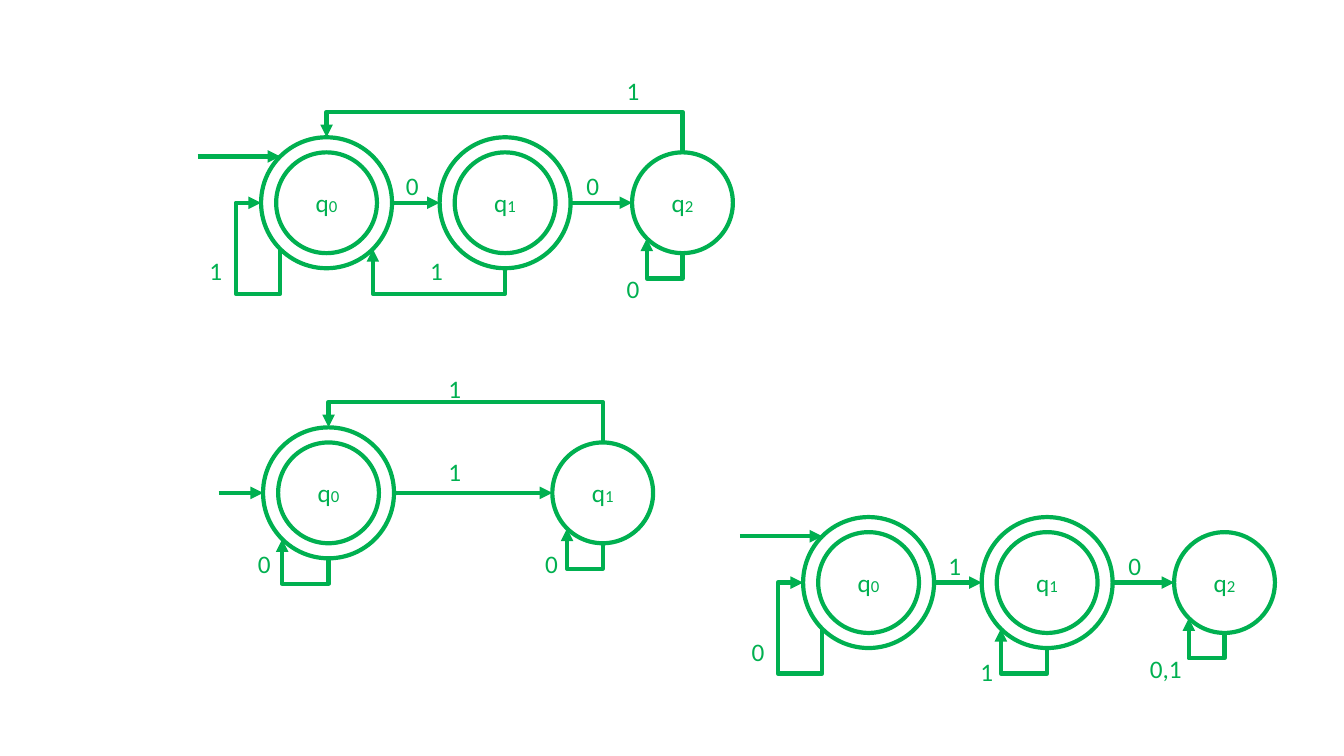
"""Build a slide with three finite-state automata."""
import math
import lxml.etree
import pptx
import pptx.dml.color
import pptx.enum.shapes
import pptx.enum.text
import pptx.oxml.ns
import pptx.util
from dataclasses import dataclass

TOP, LEFT, LOWER_LEFT, BOTTOM, LOWER_RIGHT, RIGHT, UPPER_LEFT = 0, 2, 3, 4, 5, 6, 1

MACHINES = [
    {
        "row": 5.11,
        "states": [(8.23, True), (12.73, True), (17.2, False)],
        "start": (UPPER_LEFT, 2.08),
        "edges": [
            (2, BOTTOM, 2, LOWER_LEFT, "0", (15.54, 6.76)),
            (2, TOP, 0, TOP, "1", (15.54, 1.78)),
            (0, RIGHT, 1, LEFT, "0", (9.98, 4.17)),
            (1, BOTTOM, 0, LOWER_RIGHT, "1", (10.59, 6.32)),
            (0, LOWER_LEFT, 0, LEFT, "1", (5.03, 6.32)),
            (1, RIGHT, 2, LEFT, "0", (14.53, 4.17)),
        ],
    },
    {
        "row": 12.42,
        "states": [(8.28, True), (15.19, False)],
        "start": (LEFT, 1.12),
        "edges": [
            (0, RIGHT, 1, LEFT, "1", (11.05, 11.38)),
            (0, BOTTOM, 0, LOWER_LEFT, "0", (6.25, 13.69)),
            (1, TOP, 0, TOP, "1", (11.05, 9.27)),
            (1, BOTTOM, 1, LOWER_LEFT, "0", (13.49, 13.69)),
        ],
    },
    {
        "row": 14.68,
        "states": [(21.89, True), (26.39, True), (30.86, False)],
        "start": (UPPER_LEFT, 2.08),
        "edges": [
            (2, BOTTOM, 2, LOWER_LEFT, "0,1", (28.73, 16.33)),
            (0, RIGHT, 1, LEFT, "1", (23.65, 13.74)),
            (0, LOWER_LEFT, 0, LEFT, "0", (18.69, 15.9)),
            (1, RIGHT, 2, LEFT, "0", (28.19, 13.74)),
            (1, BOTTOM, 1, LOWER_LEFT, "1", (24.46, 16.41)),
        ],
    },
]

INNER, OUTER, CLEARANCE = 1.27, 1.65, 0.64


@dataclass(frozen=True)
class Theme:
    ink: pptx.dml.color.RGBColor = pptx.dml.color.RGBColor(0x00, 0xB0, 0x50)
    paper: pptx.dml.color.RGBColor = pptx.dml.color.RGBColor(0xFF, 0xFF, 0xFF)
    font: str = "Calibri"
    size: int = 18
    index_size: int = 12
    line: int = 3


THEME = Theme()
Cm = pptx.util.Cm
qn = pptx.oxml.ns.qn
CONNECTOR = pptx.enum.shapes.MSO_CONNECTOR


@dataclass
class State:
    x: float
    y: float
    radius: float
    shape_id: int

    def site(self, index):
        angle = math.radians(90 + 45 * index)
        return self.x + self.radius * math.cos(angle), self.y - self.radius * math.sin(angle)


def style_run(r, size):
    r.font.name = THEME.font
    r.font.size = pptx.util.Pt(size)
    r.font.color.rgb = THEME.ink


def style_line(line):
    line.color.rgb = THEME.ink
    line.width = pptx.util.Pt(THEME.line)


def add_circle(s, x, y, radius):
    sp = s.shapes.add_shape(pptx.enum.shapes.MSO_SHAPE.OVAL, Cm(x - radius), Cm(y - radius),
                            Cm(2 * radius), Cm(2 * radius))
    sp.shadow.inherit = False
    sp.fill.solid()
    sp.fill.fore_color.rgb = THEME.paper
    style_line(sp.line)
    return sp


def add_state(s, x, y, number, accepting):
    ring = add_circle(s, x, y, OUTER) if accepting else None
    sp = add_circle(s, x, y, INNER)
    tf = sp.text_frame
    tf.vertical_anchor = pptx.enum.text.MSO_ANCHOR.MIDDLE
    p = tf.paragraphs[0]
    p.alignment = pptx.enum.text.PP_ALIGN.CENTER
    for text, size in (("q", THEME.size), (str(number), THEME.index_size)):
        r = p.add_run()
        r.text = text
        style_run(r, size)
    return State(x, y, OUTER if accepting else INNER, (ring or sp).shape_id)


def add_arrow(s, kind, x1, y1, x2, y2):
    c = s.shapes.add_connector(kind, Cm(x1), Cm(y1), Cm(x2), Cm(y2))
    style_line(c.line)
    spPr = c._element.spPr
    lxml.etree.SubElement(spPr.find(qn("a:ln")), qn("a:tailEnd"), type="triangle")
    lxml.etree.SubElement(spPr, qn("a:effectLst"))
    return c


def glue(c, tag, state, site):
    parent = c._element.find(".//" + qn("p:cNvCxnSpPr"))
    lxml.etree.SubElement(parent, qn(tag), id=str(state.shape_id), idx=str(site))


def add_bent(s, source, out, target, into):
    (x1, y1), (x2, y2) = source.site(out), target.site(into)
    dx, dy = abs(x1 - x2), abs(y1 - y2)
    left, top = (x1 + x2 - dy) / 2, (y1 + y2 - dx) / 2
    c = add_arrow(s, CONNECTOR.ELBOW, left, top, left + dy, top + dx)
    if out == TOP:
        turn, flip = 270, "flipV"
        bends = [(y1 - target.y + target.radius + CLEARANCE) / dy]
    else:
        turn, flip = 90, "flipH"
        bends = [(y1 - source.y - source.radius - CLEARANCE) / dy]
    if into == LEFT:
        bends.append((x1 - x2 + CLEARANCE) / dx)
    xfrm = c._element.spPr.find(qn("a:xfrm"))
    xfrm.set("rot", str(turn * 60000))
    xfrm.set(flip, "1")
    geom = c._element.spPr.find(qn("a:prstGeom"))
    geom.set("prst", f"bentConnector{len(bends) + 2}")
    for n, bend in enumerate(bends, 1):
        lxml.etree.SubElement(geom.find(qn("a:avLst")), qn("a:gd"), name=f"adj{n}",
                              fmla=f"val {round(bend * 100000)}")
    return c


def add_edge(s, source, out, target, into):
    if (out, into) == (RIGHT, LEFT):
        c = add_arrow(s, CONNECTOR.STRAIGHT, *source.site(out), *target.site(into))
    else:
        c = add_bent(s, source, out, target, into)
    glue(c, "a:stCxn", source, out)
    glue(c, "a:endCxn", target, into)


def add_label(s, text, x, y):
    tf = s.shapes.add_textbox(Cm(x), Cm(y), Cm(0.9 if len(text) == 1 else 1.45), Cm(1.03)).text_frame
    tf.word_wrap = True
    tf.text = text
    style_run(tf.paragraphs[0].runs[0], THEME.size)


def add_machine(s, machine):
    states = [add_state(s, x, machine["row"], n, accepting)
              for n, (x, accepting) in enumerate(machine["states"])]
    site, length = machine["start"]
    x, y = states[0].site(site)
    c = add_arrow(s, CONNECTOR.STRAIGHT, x - length, y, x, y)
    glue(c, "a:endCxn", states[0], site)
    for source, out, target, into, text, place in machine["edges"]:
        add_edge(s, states[source], out, states[target], into)
        add_label(s, text, *place)


def main():
    prs = pptx.Presentation()
    prs.slide_width, prs.slide_height = Cm(33.87), Cm(19.05)
    s = prs.slides.add_slide(prs.slide_layouts[6])
    for machine in MACHINES:
        add_machine(s, machine)
    prs.save("out.pptx")


if __name__ == "__main__":
    main()
